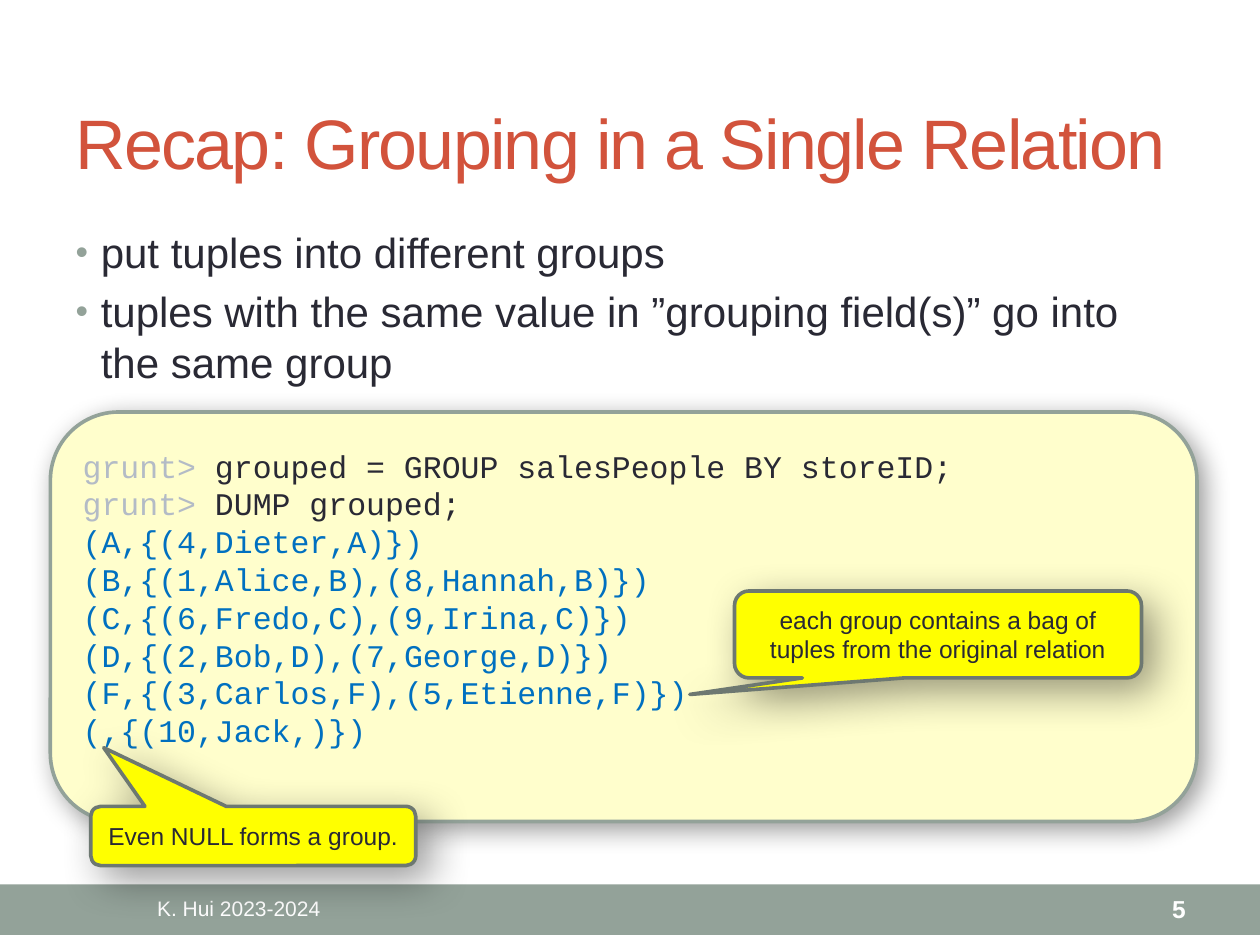
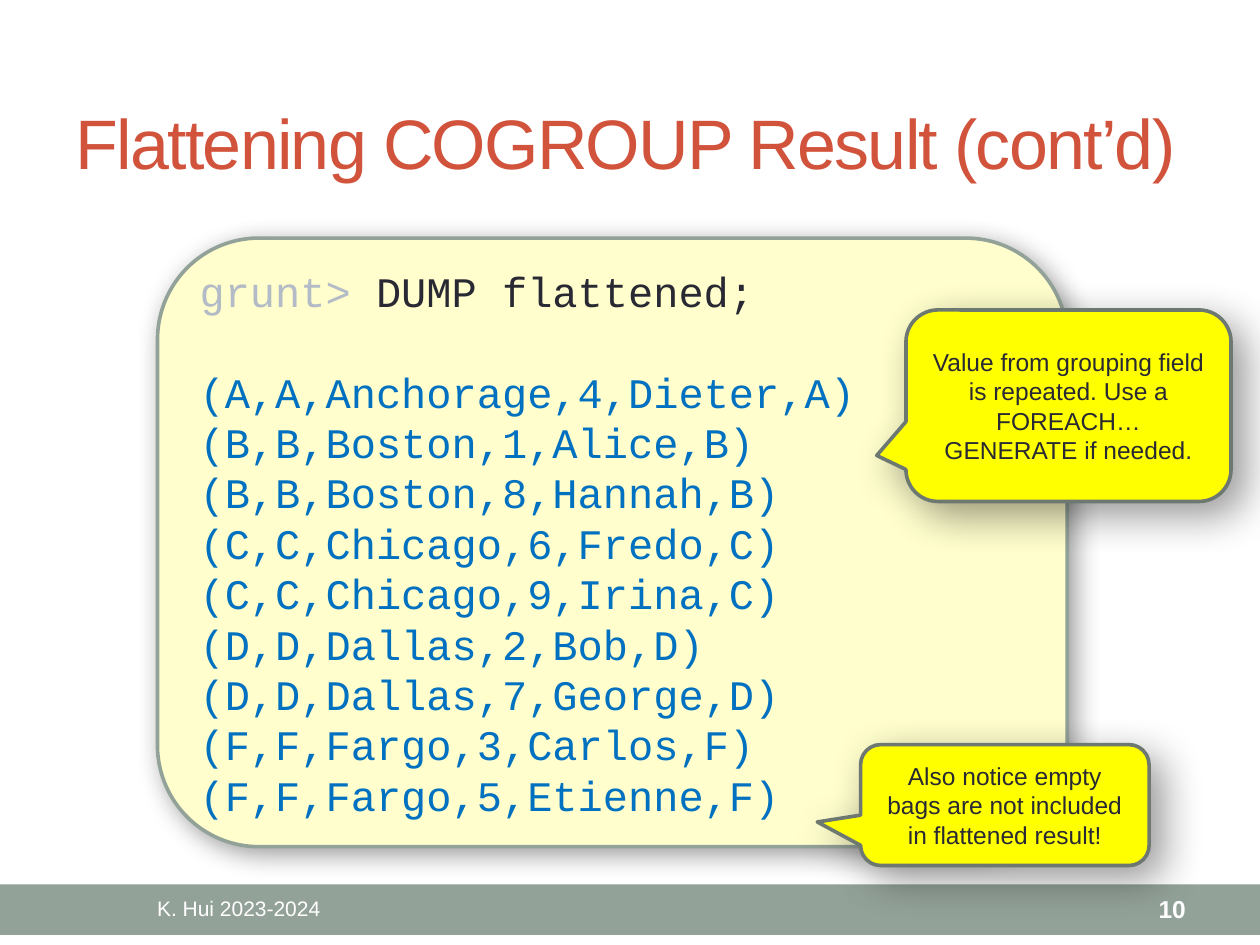
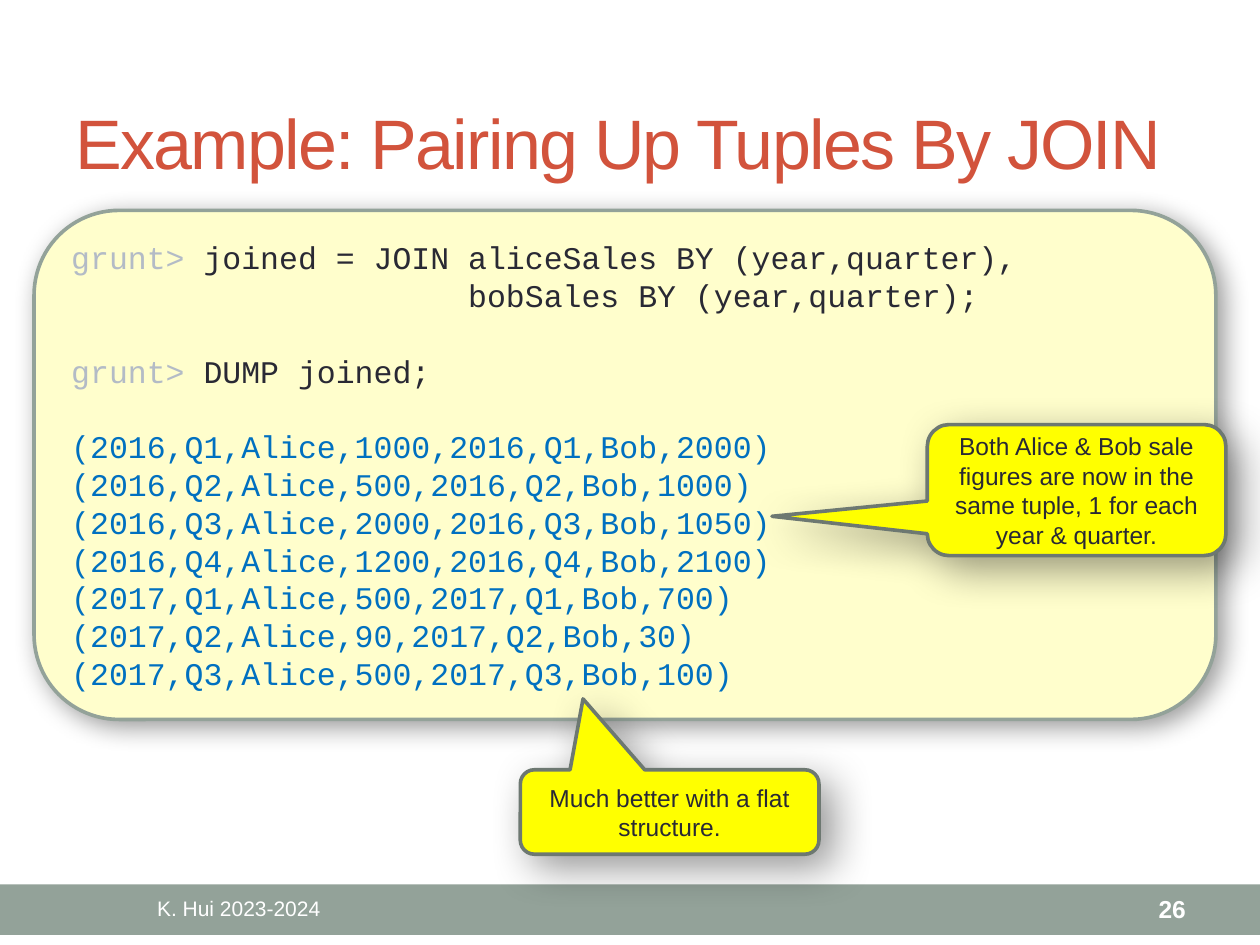
from pptx import Presentation
from pptx.dml.color import RGBColor
from pptx.enum.shapes import MSO_SHAPE
from pptx.enum.text import MSO_ANCHOR, MSO_AUTO_SIZE, PP_ALIGN
from pptx.oxml.ns import qn
from pptx.util import Inches, Pt
from lxml import etree

RECTANGLE = MSO_SHAPE.RECTANGLE
ROUNDED = MSO_SHAPE.ROUNDED_RECTANGLE
CALLOUT = MSO_SHAPE.ROUNDED_RECTANGULAR_CALLOUT
LEFT, CENTER, RIGHT = PP_ALIGN.LEFT, PP_ALIGN.CENTER, PP_ALIGN.RIGHT
TOP, MIDDLE = MSO_ANCHOR.TOP, MSO_ANCHOR.MIDDLE

COLORS = {
    "title": "D2533C",
    "text": "292934",
    "sage": "93A299",
    "panel": "FFFECC",
    "prompt": "B3BBC6",
    "output": "0070C0",
    "callout": "FFFF00",
    "callout_line": "6D7871",
    "white": "FFFFFF",
    "shadow": "000000",
}
SANS, MONO = "Arial", "Courier New"
PROMPT = "grunt> "
LINE_HEIGHT = 1.2
TITLE_AND_BODY, TITLE_ONLY = 1, 5


def rgb(name):
    return RGBColor.from_string(COLORS[name])


def add_span(para, text, size=14, color="text", font=SANS, bold=False, spacing=None):
    """Add one formatted run; spacing is in points between letters."""
    span = para.add_run()
    span.text = text
    span.font.name = font
    span.font.size = Pt(size)
    span.font.bold = bold
    span.font.color.rgb = rgb(color)
    if spacing is not None:
        span.font._element.set("spc", str(int(spacing * 100)))
    return span


def add_element(parent, tag, **attributes):
    element = etree.SubElement(parent, qn(tag))
    for name, value in attributes.items():
        element.set(name, str(value))
    return element


class Deck:
    """Holds the shared style and the page being built."""

    def __init__(self):
        self.deck = Presentation()
        self.deck.slide_width = Inches(10)
        self.deck.slide_height = Inches(7.5)
        self.page = None

    # Pages and placeholders
    def new_page(self, title, number, layout=TITLE_ONLY):
        self.page = self.deck.slides.add_slide(self.deck.slide_layouts[layout])
        self.shape(RECTANGLE, (0, 7.02, 10, 0.4), "sage")
        frame = self.placeholder(self.page.shapes.title, (0.5, 0.58, 9, 1.08), MIDDLE)
        para = frame.paragraphs[0]
        para.alignment = LEFT
        add_span(para, title, size=40, color="title", spacing=-1)
        self.label("K. Hui 2023-2024", (0.5, 7.03, 2.79, 0.36), CENTER, size=12)
        self.label(str(number), (8.34, 7.03, 1.17, 0.36), RIGHT, size=14, bold=True)

    def placeholder(self, box, place, anchor):
        box.left, box.top, box.width, box.height = map(Inches, place)
        frame = box.text_frame
        frame.auto_size = MSO_AUTO_SIZE.NONE
        frame.vertical_anchor = anchor
        return frame

    def bullets(self, items):
        frame = self.placeholder(self.page.placeholders[1], (0.5, 1.75, 9, 5.16), TOP)
        for index, item in enumerate(items):
            para = frame.add_paragraph() if index else frame.paragraphs[0]
            properties = para._p.get_or_add_pPr()
            properties.set("marL", str(Inches(0.2)))
            properties.set("indent", str(Inches(-0.2)))
            bullet_color = add_element(properties, "a:buClr")
            add_element(bullet_color, "a:srgbClr", val=COLORS["sage"])
            add_element(properties, "a:buSzPct", val=85000)
            add_element(properties, "a:buFont", typeface=SANS)
            add_element(properties, "a:buChar", char="•")
            para.space_before = Pt(4.8 if index else 0)
            add_span(para, item, size=24)

    # Text and shapes
    def label(self, text, place, alignment, **style):
        box = self.page.shapes.add_textbox(*map(Inches, place))
        box.text_frame.word_wrap = True
        box.text_frame.vertical_anchor = MIDDLE
        para = box.text_frame.paragraphs[0]
        para.alignment = alignment
        add_span(para, text, color="white", **style)

    def shape(self, kind, place, fill, line=None, blur=0, distance=0):
        box = self.page.shapes.add_shape(kind, *map(Inches, place))
        box.fill.solid()
        box.fill.fore_color.rgb = rgb(fill)
        if line:
            box.line.color.rgb = rgb(line)
            box.line.width = Pt(2.08)
        else:
            box.line.fill.background()
        box.shadow.inherit = False
        if blur:
            effects = box._element.spPr.find(qn("a:effectLst"))
            shadow = add_element(effects, "a:outerShdw", blurRad=Pt(blur),
                                 dist=Pt(distance), dir=45 * 60000, rotWithShape=0)
            color = add_element(shadow, "a:srgbClr", val=COLORS["shadow"])
            add_element(color, "a:alpha", val=40000)
        box.text_frame.word_wrap = True
        box.text_frame.vertical_anchor = MIDDLE
        return box

    def code(self, place, blocks, size=18, bottom_inset=0.05):
        """Draw a console panel; blocks of lines are one line height apart."""
        box = self.shape(ROUNDED, place, "panel", "sage", blur=15, distance=5)
        frame = box.text_frame
        frame.margin_bottom = Inches(bottom_inset)
        para = None
        for block in blocks:
            for index, line in enumerate(block.split("\n")):
                starts_block = para is not None and index == 0
                para = frame.paragraphs[0] if para is None else frame.add_paragraph()
                para.alignment = LEFT
                if starts_block:
                    para.space_before = Pt(size * LINE_HEIGHT)
                if line.startswith(PROMPT):
                    add_span(para, PROMPT, size=size, color="prompt", font=MONO)
                    line = line.removeprefix(PROMPT)
                color = "output" if line.startswith("(") else "text"
                add_span(para, line, size=size, color=color, font=MONO)

    def callout(self, text, place, tip):
        """Draw a note; tip is the pointer's offset as shares of its size."""
        box = self.shape(CALLOUT, place, "callout", "callout_line", blur=24, distance=10)
        box.adjustments[0], box.adjustments[1] = tip
        para = box.text_frame.paragraphs[0]
        para.alignment = CENTER
        add_span(para, text)


GROUP_CODE = """grunt> grouped = GROUP salesPeople BY storeID;
grunt> DUMP grouped;
(A,{(4,Dieter,A)})
(B,{(1,Alice,B),(8,Hannah,B)})
(C,{(6,Fredo,C),(9,Irina,C)})
(D,{(2,Bob,D),(7,George,D)})
(F,{(3,Carlos,F),(5,Etienne,F)})
(,{(10,Jack,)})"""

FLATTENED_OUTPUT = """(A,A,Anchorage,4,Dieter,A)
(B,B,Boston,1,Alice,B)
(B,B,Boston,8,Hannah,B)
(C,C,Chicago,6,Fredo,C)
(C,C,Chicago,9,Irina,C)
(D,D,Dallas,2,Bob,D)
(D,D,Dallas,7,George,D)
(F,F,Fargo,3,Carlos,F)
(F,F,Fargo,5,Etienne,F)"""

JOIN_CODE = """grunt> joined = JOIN aliceSales BY (year,quarter),
                     bobSales BY (year,quarter);"""

JOINED_OUTPUT = """(2016,Q1,Alice,1000,2016,Q1,Bob,2000)
(2016,Q2,Alice,500,2016,Q2,Bob,1000)
(2016,Q3,Alice,2000,2016,Q3,Bob,1050)
(2016,Q4,Alice,1200,2016,Q4,Bob,2100)
(2017,Q1,Alice,500,2017,Q1,Bob,700)
(2017,Q2,Alice,90,2017,Q2,Bob,30)
(2017,Q3,Alice,500,2017,Q3,Bob,100)"""


def main():
    deck = Deck()

    # Grouping
    deck.new_page("Recap: Grouping in a Single Relation", 5, TITLE_AND_BODY)
    deck.bullets([
        "put tuples into different groups",
        "tuples with the same value in ”grouping field(s)” go into the same group",
    ])
    deck.code((0.4, 3.27, 9.1, 3.25), [GROUP_CODE], bottom_inset=0.35)
    deck.callout("each group contains a bag of tuples from the original relation",
                 (5.83, 4.69, 3.23, 0.69), (-0.61, 0.69))
    deck.callout("Even NULL forms a group.", (0.72, 6.4, 2.58, 0.47), (-0.46, -1.49))

    # Flattening
    deck.new_page("Flattening COGROUP Result (cont’d)", 10)
    deck.code((1.25, 1.89, 7.22, 4.83),
              ["grunt> DUMP flattened;", FLATTENED_OUTPUT], size=24)
    deck.callout("Value from grouping field is repeated. Use a FOREACH… GENERATE if needed.",
                 (7.19, 2.46, 2.58, 1.52), (-0.59, 0.26))
    deck.callout("Also notice empty bags are not included in flattened result!",
                 (6.83, 5.91, 2.29, 0.96), (-0.65, 0.14))

    # Joining
    deck.new_page("Example: Pairing Up Tuples By JOIN", 26)
    deck.code((0.27, 1.67, 9.38, 4.04),
              [JOIN_CODE, "grunt> DUMP joined;", JOINED_OUTPUT])
    deck.callout("Much better with a flat structure.",
                 (4.13, 6.11, 2.37, 0.67), (-0.29, -1.34))
    deck.callout("Both Alice & Bob sale figures are now in the same tuple, "
                 "1 for each year & quarter.",
                 (7.36, 3.37, 2.37, 1.04), (-1.02, 0.2))

    deck.deck.save("out.pptx")


if __name__ == "__main__":
    main()
